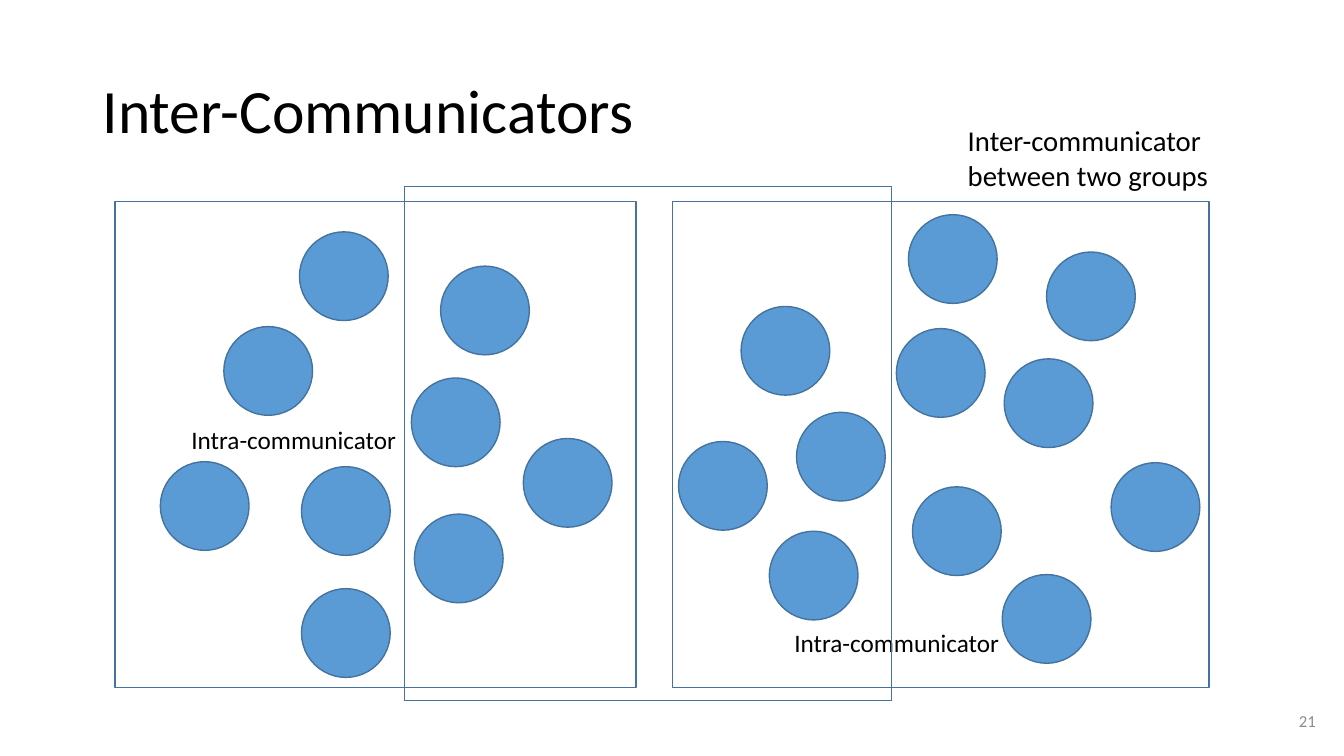
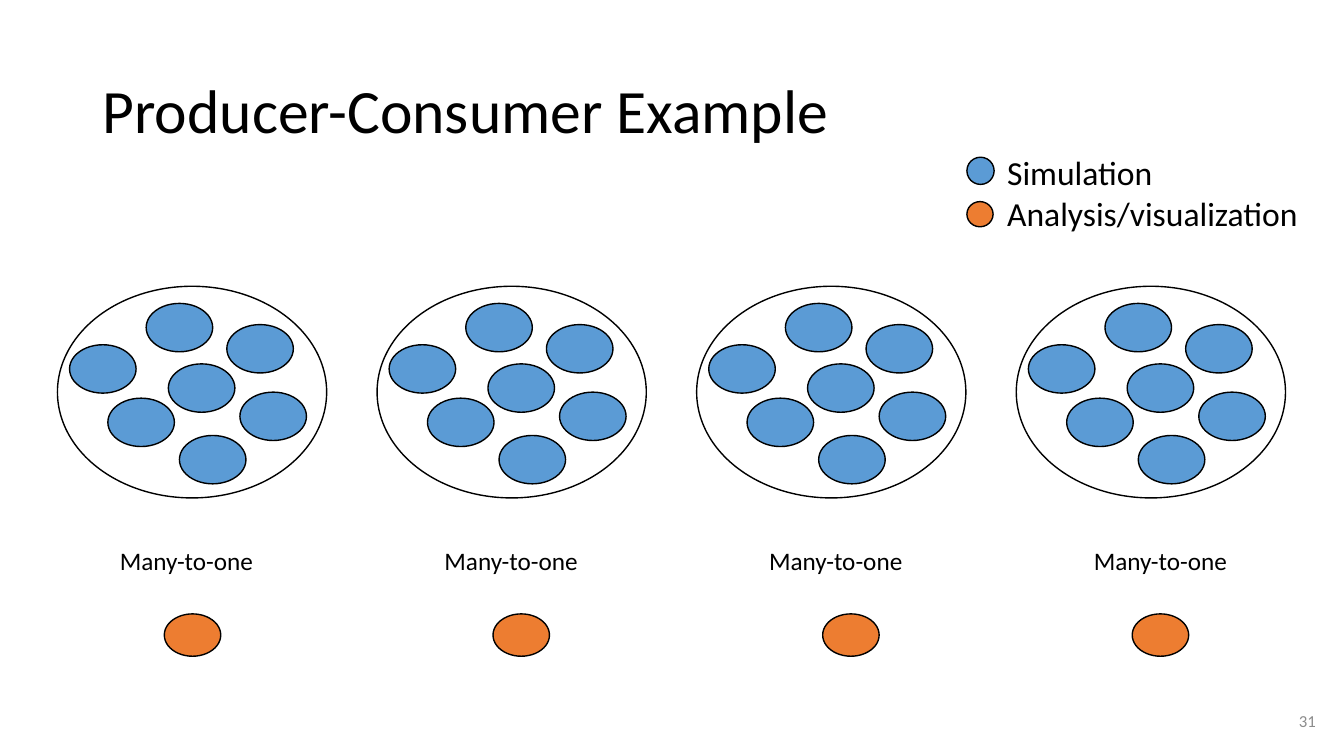
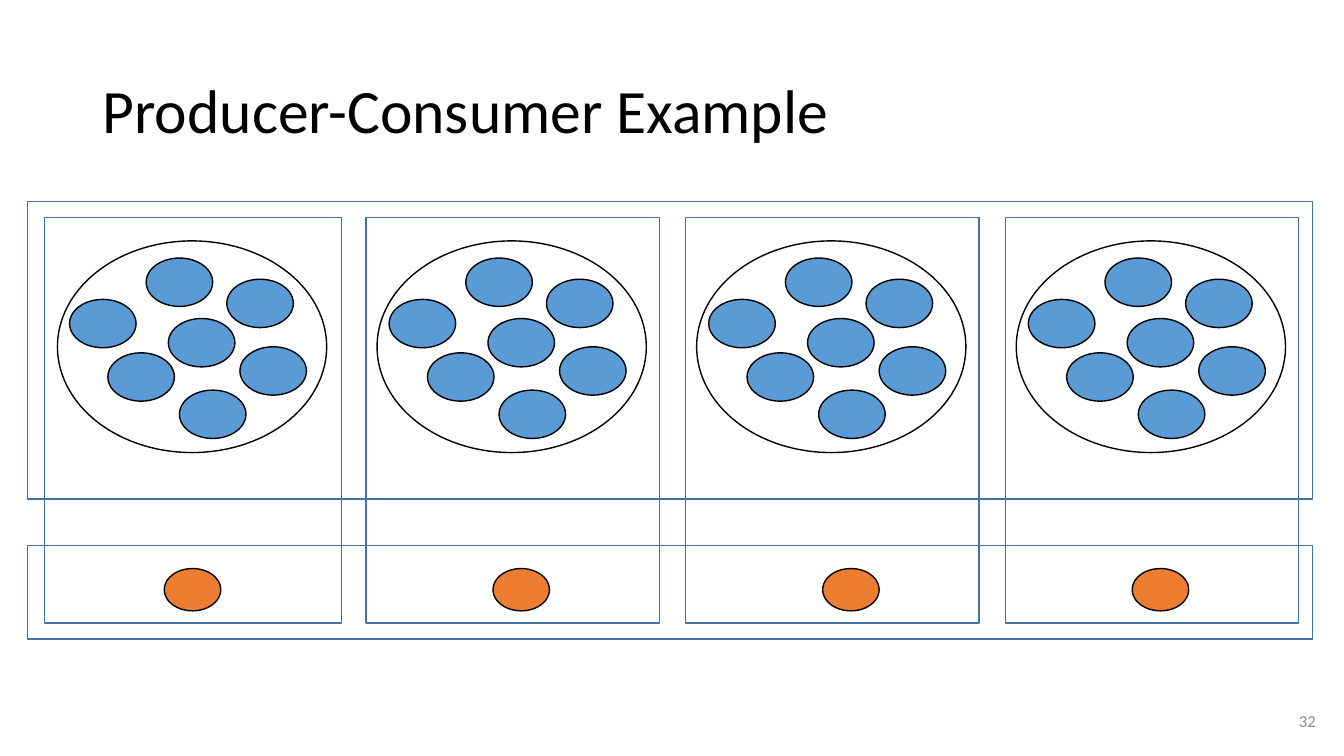
from dataclasses import dataclass

from pptx import Presentation
from pptx.dml.color import RGBColor
from pptx.enum.shapes import MSO_SHAPE
from pptx.enum.text import MSO_ANCHOR, MSO_AUTO_SIZE, PP_ALIGN
from pptx.util import Inches, Pt


@dataclass(frozen=True)
class Theme:
    font: str = "Calibri"
    text: str = "000000"
    muted: str = "8C8C8C"
    blue: str = "5B9BD5"
    blue_outline: str = "43739E"
    orange: str = "ED7D31"
    black: str = "000000"
    white: str = "FFFFFF"
    outline_width: float = 1
    title_size: float = 44
    legend_size: float = 24
    caption_size: float = 20.5
    label_size: float = 18
    number_size: float = 12


THEME = Theme()

PROCESS_SIZE = 0.88
PROCESS_POSITIONS = [
    (2.22, 3.24), (4.08, 3.75), (2.99, 4.63), (2.97, 2.3), (5.19, 4.35),
    (7.63, 5.27), (4.37, 2.64), (7.35, 3.04), (7.9, 4.09), (9.05, 4.83),
    (8.89, 3.26), (4.11, 5.1), (9.01, 2.13), (10.38, 2.5), (9.96, 3.56),
    (11.02, 4.59), (2.99, 5.84), (1.59, 4.58), (9.94, 5.7), (6.73, 4.38),
]

CLUSTER_LEFTS = [0.57 + 3.17 * index for index in range(4)]
CLUSTER_SIZE = (2.67, 2.1)
PRODUCER_SIZE = (0.66, 0.48)
PRODUCER_OFFSETS = [
    (0.12, 0.58), (0.88, 0.17), (1.1, 0.77), (1.68, 0.38),
    (0.5, 1.11), (1.21, 1.48), (1.81, 1.05),
]
CONSUMER_LEFTS = [1.63, 4.89, 8.16, 11.23]
CONSUMER_SIZE = (0.56, 0.42)
CONSUMER_DROP = 3.25


def color(value):
    return RGBColor.from_string(value)


def add_outlined(shapes, preset, box, fill, outline):
    shape = shapes.add_shape(preset, *map(Inches, box))
    shape.shadow.inherit = False
    if fill:
        shape.fill.solid()
        shape.fill.fore_color.rgb = color(fill)
    else:
        shape.fill.background()
    shape.line.color.rgb = color(outline)
    shape.line.width = Pt(THEME.outline_width)


def add_ellipse(shapes, box, fill, outline=THEME.black):
    add_outlined(shapes, MSO_SHAPE.OVAL, box, fill, outline)


def add_frame(slide, box):
    add_outlined(slide.shapes, MSO_SHAPE.RECTANGLE, box, None, THEME.blue_outline)


def add_text(slide, box, lines, size, text_color=THEME.text, frame_format=None,
             paragraph_format=None):
    """Add one paragraph per line; by default the box fits its unwrapped text."""
    frame = slide.shapes.add_textbox(*map(Inches, box)).text_frame
    frame_format = frame_format or {
        "word_wrap": False, "auto_size": MSO_AUTO_SIZE.SHAPE_TO_FIT_TEXT}
    for name, value in frame_format.items():
        setattr(frame, name, value)
    frame.text = "\n".join(lines)
    for paragraph in frame.paragraphs:
        for name, value in (paragraph_format or {}).items():
            setattr(paragraph, name, value)
        font = paragraph.runs[0].font
        for name, value in {"name": THEME.font, "size": Pt(size)}.items():
            setattr(font, name, value)
        font.color.rgb = color(text_color)


def add_titled_slide(presentation, title, number):
    slide = presentation.slides.add_slide(presentation.slide_layouts[6])
    middle = {"word_wrap": True, "vertical_anchor": MSO_ANCHOR.MIDDLE}
    add_text(slide, (0.92, 0.4, 11.5, 1.45), [title], THEME.title_size,
             frame_format=middle, paragraph_format={"line_spacing": 0.9})
    add_text(slide, (9.42, 6.95, 3.73, 0.4), [str(number)], THEME.number_size,
             THEME.muted, middle, {"alignment": PP_ALIGN.RIGHT})
    return slide


def add_cluster(slide, left, top):
    """Group one simulation's producers inside their enclosing ellipse."""
    shapes = slide.shapes.add_group_shape().shapes
    add_ellipse(shapes, (left, top, *CLUSTER_SIZE), THEME.white)
    for across, down in PRODUCER_OFFSETS:
        add_ellipse(shapes, (left + across, top + down, *PRODUCER_SIZE), THEME.blue)


def add_producers_and_consumers(slide, top):
    for left in CLUSTER_LEFTS:
        add_cluster(slide, left, top)
    for left in CONSUMER_LEFTS:
        add_ellipse(slide.shapes, (left, top + CONSUMER_DROP, *CONSUMER_SIZE),
                    THEME.orange)


def build_inter_communicators(presentation):
    slide = add_titled_slide(presentation, "Inter-Communicators", 21)
    for left, top in PROCESS_POSITIONS:
        add_ellipse(slide.shapes, (left, top, PROCESS_SIZE, PROCESS_SIZE),
                    THEME.blue, THEME.blue_outline)
    for left, top in [(1.8, 4.16), (7.78, 6.17)]:
        add_text(slide, (left, top, 2.25, 0.4), ["Intra-communicator"],
                 THEME.label_size)
    for box in [(1.14, 2, 5.17, 4.82), (6.67, 2, 5.32, 4.82), (4.01, 1.85, 4.83, 5.1)]:
        add_frame(slide, box)
    add_text(slide, (9.5, 1.17, 2.67, 0.79),
             ["Inter-communicator", "between two groups"], THEME.caption_size)


def build_many_to_one(presentation):
    slide = add_titled_slide(presentation, "Producer-Consumer Example", 31)
    add_producers_and_consumers(slide, 2.84)
    for index in range(4):
        add_text(slide, (1.09 + 3.22 * index, 5.36, 1.54, 0.4), ["Many-to-one"],
                 THEME.label_size)
    add_text(slide, (9.89, 1.46, 3.11, 0.91),
             ["Simulation", "Analysis/visualization"], THEME.legend_size)
    add_ellipse(slide.shapes, (9.59, 1.56, 0.27, 0.27), THEME.blue)
    add_ellipse(slide.shapes, (9.59, 2, 0.26, 0.25), THEME.orange)


def build_communicator_frames(presentation):
    slide = add_titled_slide(presentation, "Producer-Consumer Example", 32)
    add_producers_and_consumers(slide, 2.39)
    for top, height in [(2, 2.95), (5.41, 0.93)]:
        add_frame(slide, (0.27, top, 12.75, height))
    for left, width in [(0.44, 2.95), (3.63, 2.91), (6.8, 2.91), (9.97, 2.91)]:
        add_frame(slide, (left, 2.16, width, 4.02))


def main():
    presentation = Presentation()
    presentation.slide_width = Inches(13.33)
    presentation.slide_height = Inches(7.5)
    build_inter_communicators(presentation)
    build_many_to_one(presentation)
    build_communicator_frames(presentation)
    presentation.save("out.pptx")


if __name__ == "__main__":
    main()
